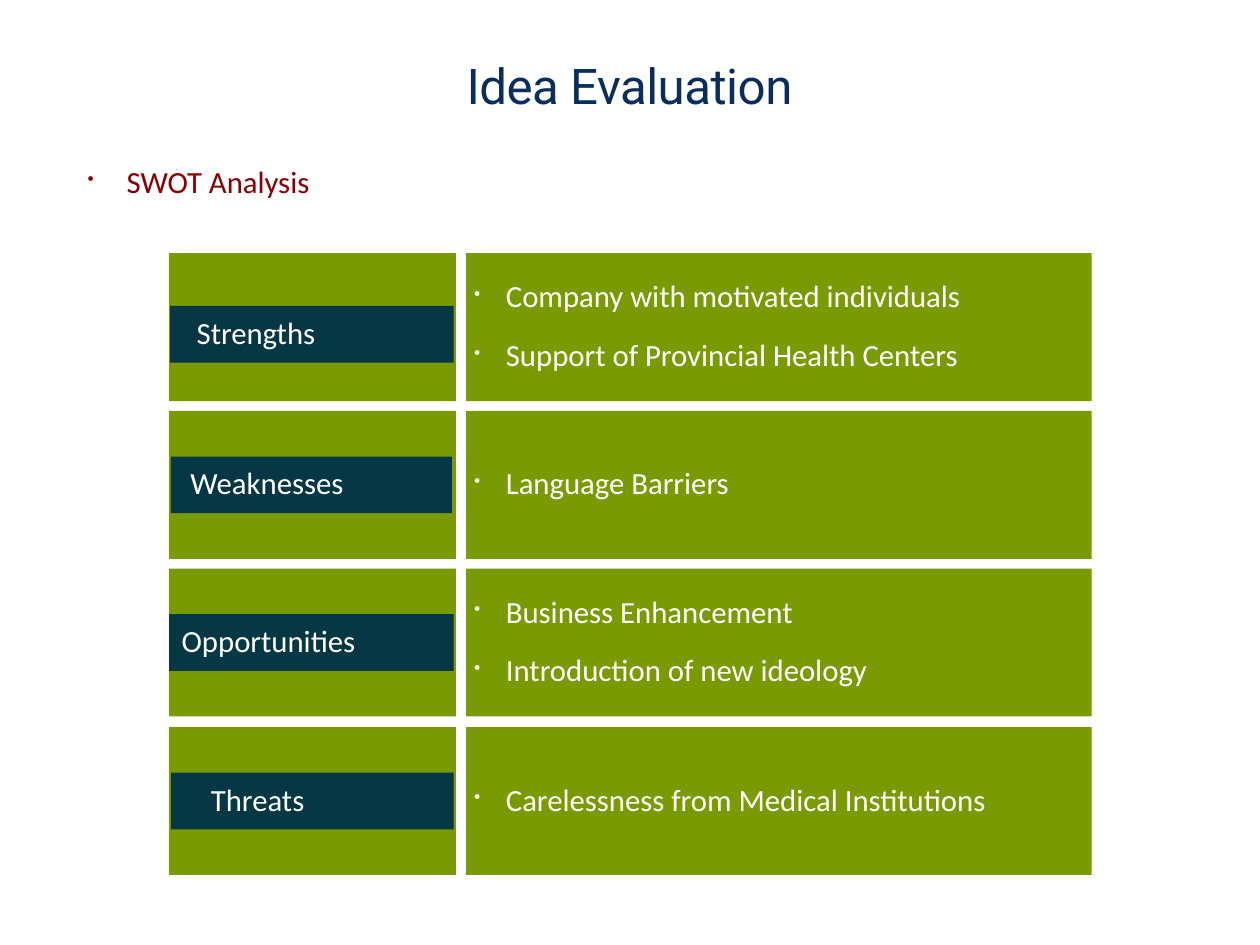
from lxml.etree import SubElement
from pptx import Presentation
from pptx.dml.color import RGBColor
from pptx.enum.shapes import MSO_CONNECTOR as Connector, MSO_SHAPE as Shape
from pptx.enum.text import MSO_ANCHOR as Anchor, PP_ALIGN as Align
from pptx.oxml.ns import qn
from pptx.util import Pt

# Content: label, label indent, label (left, width, shift down), points
TITLE = "Idea Evaluation"
SUBTITLE = "SWOT Analysis"
SWOT = [
    ("Strengths", 24, (192, 320, 8),
     ["Company with motivated individuals", "Support of Provincial Health Centers"]),
    ("Weaknesses", 16, (193, 317, 0), ["Language Barriers"]),
    ("Opportunities", 8, (191, 321, 0),
     ["Business Enhancement", "Introduction of new ideology"]),
    ("Threats", 39, (193, 319, 0), ["Carelessness from Medical Institutions"]),
]

# Style
NAVY = RGBColor(0x0A, 0x2E, 0x5C)
RED = RGBColor(0x8A, 0x00, 0x02)
GREEN = RGBColor(0x7A, 0x9A, 0x01)
TEAL = RGBColor(0x06, 0x37, 0x44)
WHITE = RGBColor(0xFF, 0xFF, 0xFF)

# Lengths in px, 100 to the inch
EMU_PER_PX = 9144
SLIDE_WIDTH, SLIDE_HEIGHT = 1422, 1067
ROW_LEFT, ROW_TOP, ROW_WIDTH, ROW_HEIGHT = 191, 286, 1041, 167
ROWS_SPAN = 535  # from the first row top to the last
TEXT_HEIGHT, POINT_PITCH = 64, 66
POINT_LEFT, POINT_WIDTH = 529, 690
DIVIDER_X, DIVIDER_OVERHANG = 520, 12
INSET, BULLET_INDENT = 6, 36


def px(*lengths):
    return [round(length * EMU_PER_PX) for length in lengths]


def write(shape, text, color, size=25, font="Calibri", align=Align.LEFT,
          spacing=0.9, indent=0, bullet_indent=0, tracking=0):
    frame = shape.text_frame
    frame.word_wrap = True
    frame.vertical_anchor = Anchor.MIDDLE
    frame.margin_left, frame.margin_right = px(INSET + indent, INSET)
    frame.margin_top, frame.margin_bottom = px(INSET, INSET)
    paragraph = frame.paragraphs[0]
    paragraph.alignment = align
    paragraph.line_spacing = spacing
    if bullet_indent:
        properties = paragraph._p.get_or_add_pPr()
        [margin] = px(bullet_indent)
        properties.set("marL", str(margin))
        properties.set("indent", str(-margin))
        SubElement(properties, qn("a:buSzPct"), val="60000")
        SubElement(properties, qn("a:buChar"), char="•")
    run = paragraph.add_run()
    run.text = text
    run.font.name, run.font.size = font, Pt(size)
    run.font.color.rgb = color
    if tracking:
        run._r.get_or_add_rPr().set("spc", str(round(tracking * 100)))


def add_box(slide, left, top, width, height, color):
    shape = slide.shapes.add_shape(Shape.RECTANGLE, *px(left, top, width, height))
    shape.shadow.inherit = False
    shape.fill.solid()
    shape.fill.fore_color.rgb = color
    shape.line.fill.background()
    return shape


def add_text(slide, left, top, width, height, text, color, **style):
    write(slide.shapes.add_textbox(*px(left, top, width, height)), text, color, **style)


def main():
    presentation = Presentation()
    presentation.slide_width, presentation.slide_height = px(SLIDE_WIDTH, SLIDE_HEIGHT)
    slide = presentation.slides.add_slide(presentation.slide_layouts[6])

    # Headings
    add_text(slide, 399, 44, 623, 117, TITLE, NAVY, size=40, font="Roboto",
             align=Align.CENTER, spacing=0.8, tracking=-0.4)
    add_text(slide, 93, 175, 317, TEXT_HEIGHT, SUBTITLE, RED,
             bullet_indent=BULLET_INDENT + 8)

    # Row bands
    row_tops = [ROW_TOP + index * ROWS_SPAN // (len(SWOT) - 1)
                for index in range(len(SWOT))]
    for top in row_tops:
        add_box(slide, ROW_LEFT, top, ROW_WIDTH, ROW_HEIGHT, GREEN)

    # Column divider
    bottom = row_tops[-1] + ROW_HEIGHT + DIVIDER_OVERHANG
    divider = slide.shapes.add_connector(
        Connector.STRAIGHT,
        *px(DIVIDER_X, bottom, DIVIDER_X, ROW_TOP - DIVIDER_OVERHANG))
    divider.line.color.rgb = WHITE
    divider.line.width = Pt(8)
    SubElement(divider._element.spPr, qn("a:effectLst"))

    # Labels and points, centred on each row
    for row_top, (label, indent, (left, width, shift), points) in zip(row_tops, SWOT):
        middle_top = row_top + (ROW_HEIGHT - TEXT_HEIGHT) / 2
        label_box = add_box(slide, left, middle_top + shift, width, TEXT_HEIGHT, TEAL)
        write(label_box, label, WHITE, indent=indent)
        first_top = middle_top - (len(points) - 1) * POINT_PITCH / 2
        for index, point in enumerate(points):
            add_text(slide, POINT_LEFT, first_top + index * POINT_PITCH, POINT_WIDTH,
                     TEXT_HEIGHT, point, WHITE, bullet_indent=BULLET_INDENT)

    presentation.save("out.pptx")


if __name__ == "__main__":
    main()
